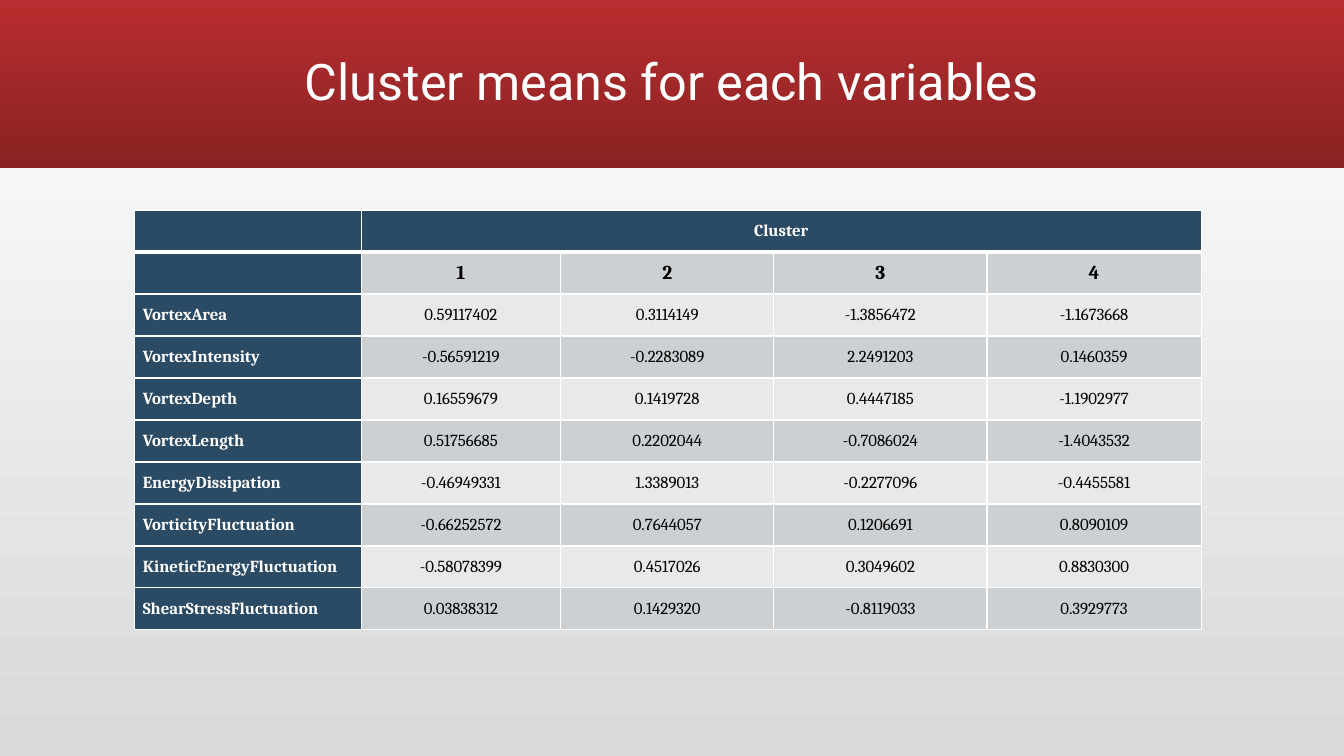
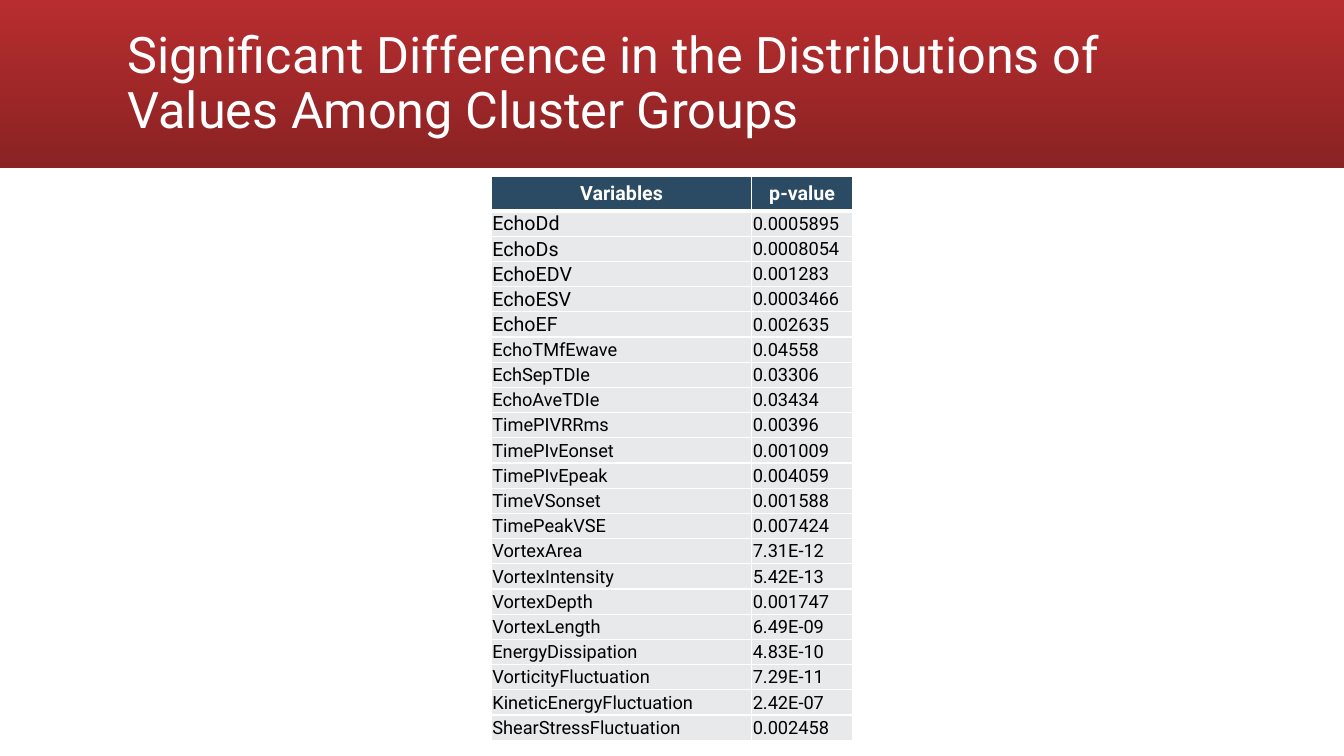
from lxml import etree
from pptx import Presentation
from pptx.dml.color import RGBColor
from pptx.enum.shapes import MSO_SHAPE
from pptx.enum.text import MSO_ANCHOR, PP_ALIGN
from pptx.oxml.ns import qn
from pptx.util import Emu, Pt

RECTANGLE = MSO_SHAPE.RECTANGLE
MIDDLE = MSO_ANCHOR.MIDDLE
LEFT, CENTER = PP_ALIGN.LEFT, PP_ALIGN.CENTER

EMU_PER_PX = 9525
SLIDE_WIDTH, SLIDE_HEIGHT = 1280, 720
BAND_HEIGHT = 160

COLORS = {
    "band_top": "B82D2F",
    "band_bottom": "8A2223",
    "backdrop_bottom": "D9D9D9",
    "white": "FFFFFF",
    "black": "000000",
    "header": "2B4A63",
    "row_dark": "CDD0D3",
    "row_light": "E8E9EA",
}
HEADING_FONT = "Roboto"
FIGURES_FONT = "Cambria"

CLUSTERS = ["1", "2", "3", "4"]
CLUSTER_MEANS = [
    ["VortexArea", "0.59117402", "0.3114149", "-1.3856472", "-1.1673668"],
    ["VortexIntensity", "-0.56591219", "-0.2283089", "2.2491203", "0.1460359"],
    ["VortexDepth", "0.16559679", "0.1419728", "0.4447185", "-1.1902977"],
    ["VortexLength", "0.51756685", "0.2202044", "-0.7086024", "-1.4043532"],
    ["EnergyDissipation", "-0.46949331", "1.3389013", "-0.2277096", "-0.4455581"],
    ["VorticityFluctuation", "-0.66252572", "0.7644057", "0.1206691", "0.8090109"],
    ["KineticEnergyFluctuation", "-0.58078399", "0.4517026", "0.3049602", "0.8830300"],
    ["ShearStressFluctuation", "0.03838312", "0.1429320", "-0.8119033", "0.3929773"],
]

P_VALUES = [
    ["EchoDd", "0.0005895"],
    ["EchoDs", "0.0008054"],
    ["EchoEDV", "0.001283"],
    ["EchoESV", "0.0003466"],
    ["EchoEF", "0.002635"],
    ["EchoTMfEwave", "0.04558"],
    ["EchSepTDIe", "0.03306"],
    ["EchoAveTDIe", "0.03434"],
    ["TimePIVRRms", "0.00396"],
    ["TimePIvEonset", "0.001009"],
    ["TimePIvEpeak", "0.004059"],
    ["TimeVSonset", "0.001588"],
    ["TimePeakVSE", "0.007424"],
    ["VortexArea", "7.31E-12"],
    ["VortexIntensity", "5.42E-13"],
    ["VortexDepth", "0.001747"],
    ["VortexLength", "6.49E-09"],
    ["EnergyDissipation", "4.83E-10"],
    ["VorticityFluctuation", "7.29E-11"],
    ["KineticEnergyFluctuation", "2.42E-07"],
    ["ShearStressFluctuation", "0.002458"],
]
LARGE_NAME_ROWS = 5


def px(length):
    return Emu(length * EMU_PER_PX)


def rgb(color):
    return RGBColor.from_string(COLORS[color])


def write_text(frame, text, *, size, font=HEADING_FONT, color="black",
               bold=False, align=LEFT, line_spacing=None):
    paragraph = frame.paragraphs[0]
    paragraph.alignment = align
    paragraph.line_spacing = line_spacing
    run = paragraph.add_run()
    run.text = text
    run.font.size = Pt(size)
    run.font.name = font
    run.font.bold = bold
    run.font.color.rgb = rgb(color)


def fill_gradient(fill, start, end, angle):
    """Blend two colours; the angle runs counter-clockwise."""
    fill.gradient()
    fill.gradient_angle = angle
    for stop, color in zip(fill.gradient_stops, (start, end)):
        stop.color.rgb = rgb(color)


def add_titled_slide(deck, title, align=LEFT):
    slide = deck.slides.add_slide(deck.slide_layouts[6])
    band = slide.shapes.add_shape(RECTANGLE, 0, 0, px(SLIDE_WIDTH), px(BAND_HEIGHT))
    band.shadow.inherit = False
    band.line.fill.background()
    fill_gradient(band.fill, "band_top", "band_bottom", 270)

    heading = slide.shapes.add_textbox(px(112), px(11), px(1056), px(139)).text_frame
    heading.word_wrap = True
    heading.vertical_anchor = MIDDLE
    write_text(heading, title, size=36, color="white", align=align, line_spacing=0.9)
    return slide


def set_borders(cell, top, bottom):
    """Draw white borders, 1 pt at the sides and the given points above and below."""
    properties = cell._tc.get_or_add_tcPr()
    for side, points in (("L", 1), ("R", 1), ("T", top), ("B", bottom)):
        line = etree.SubElement(properties, qn(f"a:ln{side}"), w=str(Pt(points)))
        solid = etree.SubElement(line, qn("a:solidFill"))
        etree.SubElement(solid, qn("a:srgbClr"), val=COLORS["white"])


def add_grid(slide, left, top, column_widths, row_heights, margins):
    """Add a plain table whose first row has a thick rule below it."""
    table = slide.shapes.add_table(
        len(row_heights), len(column_widths), px(left), px(top),
        px(sum(column_widths)), px(sum(row_heights))).table
    table.first_row = table.horz_banding = False
    for column, width in zip(table.columns, column_widths):
        column.width = px(width)
    for index, (row, height) in enumerate(zip(table.rows, row_heights)):
        row.height = px(height)
        for cell in row.cells:
            cell.vertical_anchor = MIDDLE
            (cell.margin_left, cell.margin_top,
             cell.margin_right, cell.margin_bottom) = map(px, margins)
            set_borders(cell, top=3 if index == 1 else 1, bottom=3 if index == 0 else 1)
    return table


def fill_cell(cell, text, background, **text_format):
    cell.fill.solid()
    cell.fill.fore_color.rgb = rgb(background)
    if text:
        write_text(cell.text_frame, text, **text_format)


def add_cluster_table(slide):
    rows = [["", "Cluster", "", "", ""], ["", *CLUSTERS], *CLUSTER_MEANS]
    table = add_grid(slide, 128, 200, [216, 190, 203, 203, 204],
                     [40] * len(rows), (8, 0, 8, 0))
    table.cell(0, 1).merge(table.cell(0, len(CLUSTERS)))
    for r, row in enumerate(rows):
        for c, text in enumerate(row):
            is_header = r == 0 or c == 0
            stripe = "row_dark" if r % 2 else "row_light"
            fill_cell(table.cell(r, c), text, "header" if is_header else stripe,
                      font=FIGURES_FONT, size=14 if r == 1 else 12,
                      color="white" if is_header else "black",
                      bold=is_header or r == 1, align=CENTER if c else LEFT)


def add_p_value_table(slide):
    table = add_grid(slide, 468, 168, [248, 96],
                     [33] + [24] * len(P_VALUES), (1, 1, 1, 0))
    for c, label in enumerate(["Variables", "p-value"]):
        fill_cell(table.cell(0, c), label, "header",
                  size=14, color="white", bold=True, align=CENTER)
    for r, row in enumerate(P_VALUES, start=1):
        for c, text in enumerate(row):
            is_large = c == 0 and r <= LARGE_NAME_ROWS
            fill_cell(table.cell(r, c), text, "row_light", size=14 if is_large else 13)


def main():
    deck = Presentation()
    deck.slide_width, deck.slide_height = px(SLIDE_WIDTH), px(SLIDE_HEIGHT)

    means = add_titled_slide(deck, "Cluster means for each variables", align=CENTER)
    fill_gradient(means.background.fill, "backdrop_bottom", "white", 90)
    add_cluster_table(means)

    differences = add_titled_slide(
        deck, "Significant Difference in the Distributions of Values Among Cluster Groups")
    add_p_value_table(differences)

    deck.save("out.pptx")


if __name__ == "__main__":
    main()
